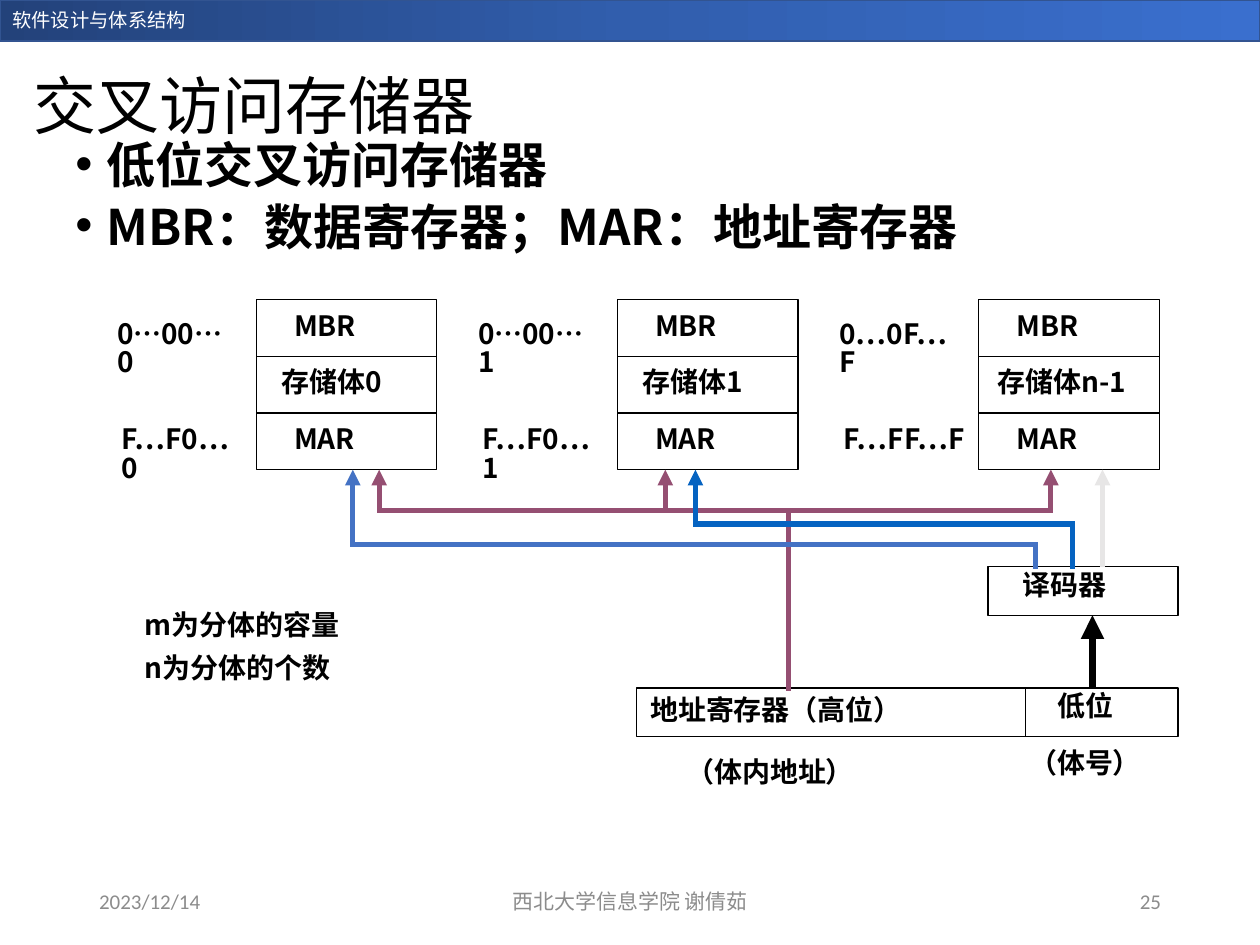
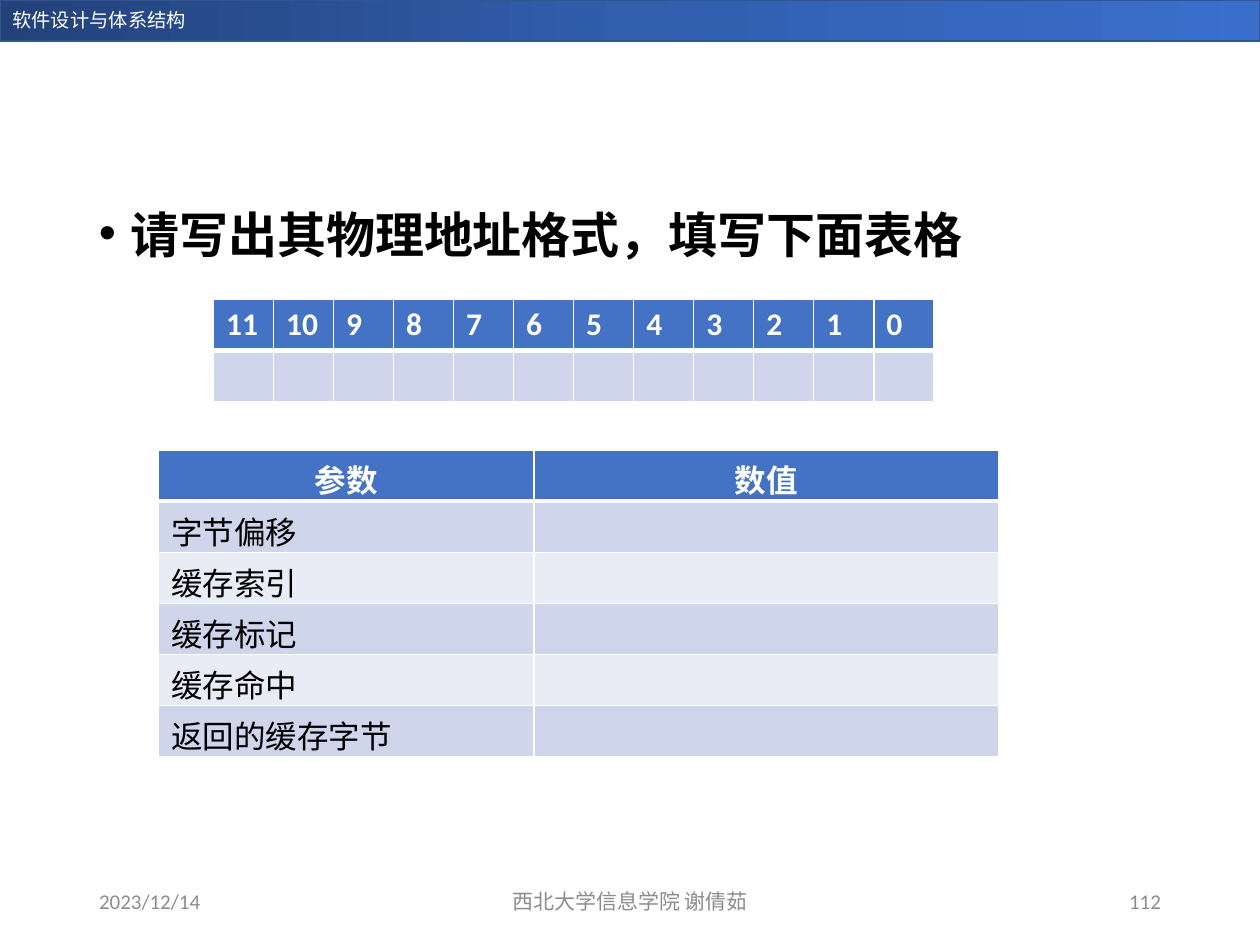
from copy import deepcopy

from lxml.etree import SubElement
from pptx import Presentation
from pptx.dml.color import RGBColor
from pptx.enum.shapes import MSO_CONNECTOR as CONNECTOR, MSO_SHAPE as SHAPE
from pptx.enum.text import MSO_ANCHOR as ANCHOR, MSO_AUTO_SIZE as AUTO_SIZE, PP_ALIGN as ALIGN
from pptx.oxml.ns import qn
from pptx.util import Pt

BLACK = RGBColor(0x00, 0x00, 0x00)
WHITE = RGBColor(0xFF, 0xFF, 0xFF)
GREY = RGBColor(0x8C, 0x8C, 0x8C)
PALE_GREY = RGBColor(0xE7, 0xE6, 0xE6)
BLUE = RGBColor(0x44, 0x72, 0xC4)
DEEP_BLUE = RGBColor(0x05, 0x63, 0xC1)
PURPLE = RGBColor(0x95, 0x4F, 0x72)
BAND_LINE = RGBColor(0x32, 0x54, 0x91)
BAND_STOPS = [(0, RGBColor(0x23, 0x42, 0x7A)), (0.5, RGBColor(0x31, 0x5E, 0xAD)),
              (1, RGBColor(0x3A, 0x6F, 0xCE))]
ROW_FILLS = [RGBColor(0xCF, 0xD5, 0xEA), RGBColor(0xE9, 0xEB, 0xF5)]

LATIN = "Calibri"
HAN = "Noto Sans CJK SC"
PAGE_WIDTH, PAGE_HEIGHT = 720, 540
INSET = 7.2
LABEL_SPACING = 0.84
BODY_SPACING = 0.75


def points(*lengths):
    return [Pt(length) for length in lengths]


def set_font(para, size, color=BLACK, bold=False, name=HAN):
    """Set the paragraph font, with the Han face for East Asian text."""
    font = para.font
    font.size, font.bold, font.name = Pt(size), bold, name
    font.color.rgb = color
    defaults = para._p.pPr.find(qn("a:defRPr"))
    SubElement(defaults, qn("a:ea")).set("typeface", HAN)


def add_bullet(para):
    props = para._p.get_or_add_pPr()
    props.set("marL", str(Pt(18)))
    props.set("indent", str(-Pt(18)))
    SubElement(props, qn("a:buFont")).set("typeface", "Arial")
    SubElement(props, qn("a:buChar")).set("char", "•")


def add_text(page, box, lines, size, color=BLACK, bold=False, name=HAN, align=ALIGN.LEFT,
             anchor=ANCHOR.TOP, inset=INSET, spacing=None, gap=0, bullets=False):
    frame = page.shapes.add_textbox(*points(*box)).text_frame
    frame.word_wrap = True
    frame.vertical_anchor = anchor
    frame.margin_left = Pt(inset)
    for index, line in enumerate(lines):
        para = frame.paragraphs[0] if index == 0 else frame.add_paragraph()
        para.text = line
        para.alignment = align
        if spacing:
            para.line_spacing = spacing
        if index:
            para.space_before = Pt(gap)
        if bullets:
            add_bullet(para)
        set_font(para, size, color, bold, name)


def add_label(page, box, *lines, inset=INSET):
    add_text(page, box, lines, 16, bold=True, inset=inset, spacing=LABEL_SPACING, gap=8)


def add_body(page, box, lines):
    add_text(page, box, lines, 28, bold=True, spacing=BODY_SPACING, gap=10, bullets=True)


def add_frame(page, box):
    """Add a white rectangle with a thin black outline."""
    frame = page.shapes.add_shape(SHAPE.RECTANGLE, *points(*box))
    frame.shadow.inherit = False
    frame.fill.solid()
    frame.fill.fore_color.rgb = WHITE
    frame.line.color.rgb = BLACK
    frame.line.width = Pt(0.75)


def add_line(page, start, end, color=BLACK, width=0.75, arrow=False):
    line = page.shapes.add_connector(CONNECTOR.STRAIGHT, *points(*start, *end))
    line.line.color.rgb = color
    line.line.width = Pt(width)
    if arrow:
        SubElement(line.line._get_or_add_ln(), qn("a:tailEnd")).set("type", "triangle")
    elif width > 1:
        line.line._get_or_add_ln().set("cap", "sq")
    SubElement(line._element.spPr, qn("a:effectLst"))


def add_route(page, stops, color, width=3, arrow=True):
    """Join the stops by straight lines, with an arrowhead at the last stop."""
    last = len(stops) - 2
    for index, (start, end) in enumerate(zip(stops, stops[1:])):
        add_line(page, start, end, color, width, arrow and index == last)


def add_band(page, box):
    band = page.shapes.add_shape(SHAPE.RECTANGLE, *points(*box))
    band.shadow.inherit = False
    band.line.color.rgb = BAND_LINE
    band.line.width = Pt(1)
    band.fill.gradient()
    band.fill.gradient_angle = 0
    stop_list = band._element.spPr.find(".//" + qn("a:gsLst"))
    stop_list.append(deepcopy(stop_list[-1]))
    for stop, (position, color) in zip(band.fill.gradient_stops, BAND_STOPS):
        stop.position = position
        stop.color.rgb = color
    left, top = box[:2]
    add_text(page, (left, top + 1.2, 179.3, 20.6), ["软件设计与体系结构"], 11, WHITE, name=LATIN)


def add_footer(page, box, number):
    left, top, width, height = box
    parts = [(0, 162, "2023/12/14", ALIGN.LEFT),
             ((width - 243) / 2, 243, "西北大学信息学院 谢倩茹", ALIGN.CENTER),
             (width - 162, 162, str(number), ALIGN.RIGHT)]
    for offset, part_width, words, align in parts:
        add_text(page, (left + offset, top, part_width, height), [words], 12, GREY,
                 name=LATIN, align=align, anchor=ANCHOR.MIDDLE)


def add_page(deck, layout, number):
    page = deck.slides.add_slide(deck.slide_layouts.get_by_name(layout))
    add_band(page, (0, 0, PAGE_WIDTH, 23.3))
    add_footer(page, (49.5, 500.5, 621, 28.8), number)
    return page


def set_title(page, box, words):
    title = page.shapes.title
    title.left, title.top, title.width, title.height = points(*box)
    frame = title.text_frame
    frame.text = words
    frame.auto_size = AUTO_SIZE.NONE
    frame.vertical_anchor = ANCHOR.MIDDLE
    para = frame.paragraphs[0]
    para.alignment = ALIGN.LEFT
    para.line_spacing = 0.9
    set_font(para, 36)


def add_bank(page, box, name, name_inset, first_address, last_address):
    """Draw a memory bank of three rows with its address range on the left."""
    left, top, width, height = box
    row_height = height / 3
    add_frame(page, box)
    rows = [("MBR", 21.6), (name, name_inset), ("MAR", 21.6)]
    for index, (words, inset) in enumerate(rows):
        row_top = top + index * row_height
        if index:
            add_line(page, (left, row_top), (left + width, row_top))
        add_label(page, (left, row_top + 4.5, 98, 26.6), words, inset=inset)
    add_label(page, (left - 86.6, top + 9, 81.4, 26.6), first_address)
    add_label(page, (left - 84.3, top + 69.4, 85, 26.6), last_address)


def add_decoder(page, box):
    left, top, width, height = box
    add_frame(page, box)
    add_label(page, (left + 5.6, top, 98, 26.6), "译码器", inset=14.4)


def add_address_register(page, box):
    left, top, width, height = box
    split = left + 222.5
    add_frame(page, box)
    add_line(page, (split, top), (split, top + height))
    add_label(page, (left - 10, top + 2.2, 237, 26.6), "地址寄存器（高位）", inset=18)
    add_label(page, (split, top, 87, 26.6), "低位", inset=18)
    add_label(page, (split - 5, top + 32.4, 103, 26.6), "（体号）")
    add_label(page, (left + 21.6, top + 37.4, 173.5, 26.6), "（体内地址）")


def add_wiring(page, bank_bottom, decoder_top, register_top):
    """Connect the register and decoder to the banks above them."""
    decoder_bottom = decoder_top + 27.8
    high_bus, middle_bus, low_bus = 291.6, 299.5, 311
    add_route(page, [(624.3, register_top), (624.3, decoder_bottom)], BLACK, width=4.5)
    add_route(page, [(630, decoder_top), (630, bank_bottom)], PALE_GREY)
    add_route(page, [(450.7, register_top), (450.7, high_bus)], PURPLE, arrow=False)
    taps = [216.7, 380.2, 600.5]
    add_route(page, [(taps[0], high_bus), (taps[-1], high_bus)], PURPLE, arrow=False)
    for tap in taps:
        add_route(page, [(tap, high_bus), (tap, bank_bottom)], PURPLE)
    for source, target, bus, color in [(612.7, 397.4, middle_bus, DEEP_BLUE),
                                       (591.8, 201.6, low_bus, BLUE)]:
        add_route(page, [(source, decoder_top), (source, bus), (target, bus),
                         (target, bank_bottom)], color)


def add_grid(page, box, column_widths, rows, header_align):
    """Add a table with a blue header, striped rows and white rules."""
    table = page.shapes.add_table(len(rows), len(column_widths), *points(*box)).table
    table.horz_banding = False
    for column, width in zip(table.columns, column_widths):
        column.width = Pt(width)
    for row_index, words in enumerate(rows):
        table.rows[row_index].height = Pt(box[3] / len(rows))
        header = row_index == 0
        rules = {"L": 1, "R": 1, "T": 3 if row_index == 1 else 1, "B": 3 if header else 1}
        for column_index, word in enumerate(words):
            cell = table.cell(row_index, column_index)
            props = cell._tc.get_or_add_tcPr()
            for side, weight in rules.items():
                rule = SubElement(props, qn("a:ln" + side), w=str(Pt(weight)))
                fill = SubElement(rule, qn("a:solidFill"))
                SubElement(fill, qn("a:srgbClr"), val=str(WHITE))
            cell.fill.solid()
            cell.fill.fore_color.rgb = BLUE if header else ROW_FILLS[(row_index - 1) % 2]
            para = cell.text_frame.paragraphs[0]
            para.text = word
            para.alignment = header_align if header else ALIGN.LEFT
            set_font(para, 18, WHITE if header else BLACK, header, LATIN)


def build_memory_page(deck):
    page = add_page(deck, "Title Only", 25)
    set_title(page, (12.2, 10.1, 620.6, 104.4), "交叉访问存储器")
    add_body(page, (36, 81.4, 648, 356.4),
             ["低位交叉访问存储器", "MBR：数据寄存器；MAR：地址寄存器"])
    bank_top, bank_height = 171.2, 97.2
    banks = [("存储体0", 14.4, "0…00…0", "F…F0…0"),
             ("存储体1", 14.4, "0…00…1", "F…F0…1"),
             ("存储体n-1", 10.8, "0…0F…F", "F…FF…F")]
    for index, bank in enumerate(banks):
        add_bank(page, (146.4 + 206.4 * index, bank_top, 103.2, bank_height), *bank)
    decoder_top, register_top = 323.8, 393.1
    add_decoder(page, (564.5, decoder_top, 108.7, 27.8))
    add_address_register(page, (363.6, register_top, 309.6, 27.8))
    add_wiring(page, bank_top + bank_height, decoder_top, register_top)
    add_label(page, (75.6, 347, 211.7, 55.4), "m为分体的容量", "n为分体的个数")


def build_exercise_page(deck):
    page = add_page(deck, "Blank", 112)
    add_body(page, (49.5, 121, 621, 342.7), ["请写出其物理地址格式，填写下面表格"])
    bits = [str(bit) for bit in range(11, -1, -1)]
    add_grid(page, (122, 171, 411.6, 58.4), [34.3] * len(bits),
             [bits, [""] * len(bits)], ALIGN.LEFT)
    names = ["字节偏移", "缓存索引", "缓存标记", "缓存命中", "返回的缓存字节"]
    add_grid(page, (90.7, 257.2, 480, 175.2), [214.4, 265.6],
             [("参数", "数值")] + [(name, "") for name in names], ALIGN.CENTER)


def main():
    deck = Presentation()
    deck.slide_width, deck.slide_height = points(PAGE_WIDTH, PAGE_HEIGHT)
    build_memory_page(deck)
    build_exercise_page(deck)
    deck.save("out.pptx")


if __name__ == "__main__":
    main()
